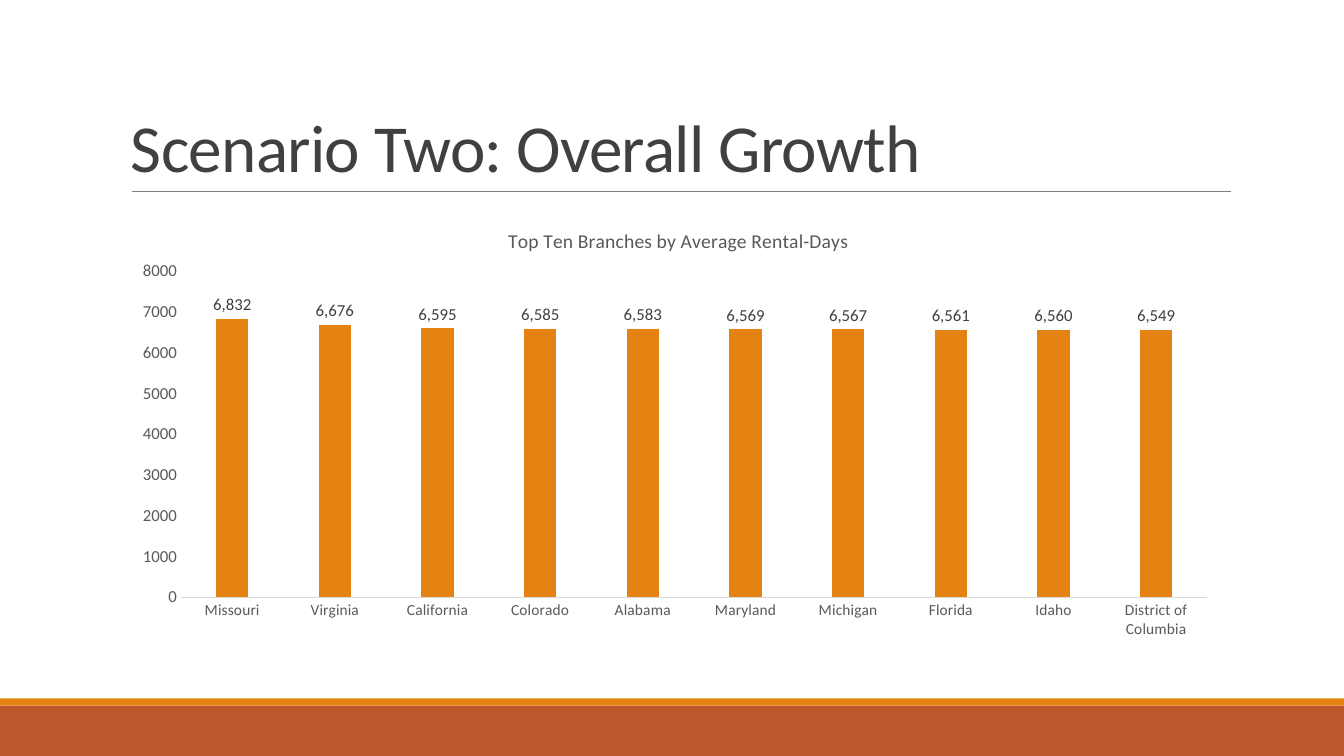
from lxml import etree
from pptx import Presentation
from pptx.chart.data import CategoryChartData
from pptx.dml.color import RGBColor
from pptx.enum.chart import XL_CHART_TYPE, XL_LABEL_POSITION, XL_TICK_MARK
from pptx.enum.shapes import MSO_CONNECTOR, MSO_SHAPE
from pptx.enum.text import MSO_ANCHOR
from pptx.oxml import parse_xml
from pptx.oxml.ns import nsdecls, qn
from pptx.util import Cm, Pt

RECTANGLE = MSO_SHAPE.RECTANGLE
STRAIGHT = MSO_CONNECTOR.STRAIGHT
BOTTOM = MSO_ANCHOR.BOTTOM
COLUMNS = XL_CHART_TYPE.COLUMN_CLUSTERED
OUTSIDE_END = XL_LABEL_POSITION.OUTSIDE_END
NO_TICK = XL_TICK_MARK.NONE

RUST = RGBColor(0xBD, 0x58, 0x2C)
ORANGE = RGBColor(0xE4, 0x83, 0x12)
RULE_GRAY = RGBColor(0x80, 0x80, 0x80)
DARK_GRAY = RGBColor(0x40, 0x40, 0x40)
TEXT_GRAY = RGBColor(0x59, 0x59, 0x59)
AXIS_GRAY = RGBColor(0xD9, 0xD9, 0xD9)
FONT = "Calibri"

PAGE_WIDTH = Cm(33.87)
PAGE_HEIGHT = Cm(19.05)
CONTENT_LEFT = Cm(3.05)
CONTENT_WIDTH = Cm(27.94)

RENTAL_DAYS = {
    "Missouri": 6832, "Virginia": 6676, "California": 6595, "Colorado": 6585,
    "Alabama": 6583, "Maryland": 6569, "Michigan": 6567, "Florida": 6561,
    "Idaho": 6560, "District of Columbia": 6549,
}


def style_font(font, size, color):
    font.name = FONT
    font.size = Pt(size)
    font.color.rgb = color


def add_band(page, top, height, color):
    band = page.shapes.add_shape(RECTANGLE, 0, top, PAGE_WIDTH, height)
    band.shadow.inherit = False
    band.fill.solid()
    band.fill.fore_color.rgb = color
    band.line.fill.background()


def add_rule(page, left, right, top):
    rule = page.shapes.add_connector(STRAIGHT, left, top, right, top)
    rule.line.color.rgb = RULE_GRAY
    rule.line.width = Pt(0.5)
    etree.SubElement(rule._element.spPr, qn("a:effectLst"))


def add_title(page, text):
    box = page.shapes.add_textbox(CONTENT_LEFT, Cm(0.79), CONTENT_WIDTH, Cm(4.04))
    frame = box.text_frame
    frame.word_wrap = True
    frame.vertical_anchor = BOTTOM
    frame.text = text
    para = frame.paragraphs[0]
    para.line_spacing = 0.85
    span = para.runs[0]
    style_font(span.font, 48, DARK_GRAY)
    span.font._element.set("spc", "-50")


def manual_layout(**settings):
    """Build a chart layout from edge settings and fractions of the chart size."""
    children = "".join(f'<c:{name} val="{value}"/>' for name, value in settings.items())
    return parse_xml(
        f'<c:layout {nsdecls("c")}><c:manualLayout>{children}</c:manualLayout></c:layout>')


def place_plot(chart, layout):
    plot_area = chart._chartSpace.chart.plotArea
    for old_layout in plot_area.findall(qn("c:layout")):
        plot_area.remove(old_layout)
    plot_area.insert(0, layout)


def add_chart_title(chart, text):
    chart.has_title = True
    title = chart.chart_title
    title.text_frame.text = text
    font = title.text_frame.paragraphs[0].runs[0].font
    style_font(font, 14, TEXT_GRAY)
    font.bold = False
    title.include_in_layout = False
    element = title._element
    for old_layout in element.findall(qn("c:layout")):
        element.remove(old_layout)
    element.find(qn("c:tx")).addnext(
        manual_layout(xMode="edge", yMode="edge", x=0.346, y=0.045))


def style_axis(axis, size):
    axis.major_tick_mark = NO_TICK
    axis.minor_tick_mark = NO_TICK
    axis.has_major_gridlines = False
    style_font(axis.tick_labels.font, size, TEXT_GRAY)


def add_column_chart(page, title, values):
    data = CategoryChartData()
    data.categories = list(values)
    data.add_series("Series 1", list(values.values()))
    chart = page.shapes.add_chart(
        COLUMNS, CONTENT_LEFT, Cm(5.13), CONTENT_WIDTH, Cm(11.18), data).chart
    chart.has_legend = False
    style_font(chart.font, 10, TEXT_GRAY)
    add_chart_title(chart, title)
    place_plot(chart, manual_layout(
        layoutTarget="inner", xMode="edge", yMode="edge",
        x=0.054, y=0.152, w=0.926, h=0.735))

    style_axis(chart.category_axis, 11)
    chart.category_axis.format.line.color.rgb = AXIS_GRAY
    chart.category_axis.format.line.width = Pt(0.75)
    style_axis(chart.value_axis, 12)
    chart.value_axis.format.line.fill.background()
    chart.value_axis.minimum_scale = 0
    chart.value_axis.maximum_scale = 8000
    chart.value_axis.major_unit = 1000
    chart.value_axis.tick_labels.number_format = "General"
    chart.value_axis.tick_labels.number_format_is_linked = False

    plot = chart.plots[0]
    plot.vary_by_categories = False
    plot.gap_width = 219
    plot.overlap = -27
    series = plot.series[0]
    series.format.fill.solid()
    series.format.fill.fore_color.rgb = ORANGE
    labels = series.data_labels
    labels.show_value = True
    labels.position = OUTSIDE_END
    labels.number_format = "#,###"
    labels.number_format_is_linked = False
    style_font(labels.font, 12, DARK_GRAY)


def main():
    deck = Presentation()
    deck.slide_width = PAGE_WIDTH
    deck.slide_height = PAGE_HEIGHT
    page = deck.slides.add_slide(deck.slide_layouts[6])
    add_band(page, Cm(17.78), Cm(1.27), RUST)
    add_band(page, Cm(17.6), Cm(0.18), ORANGE)
    add_rule(page, Cm(3.33), Cm(31.01), Cm(4.83))
    add_title(page, "Scenario Two: Overall Growth")
    add_column_chart(page, "Top Ten Branches by Average Rental-Days", RENTAL_DAYS)
    deck.save("out.pptx")


if __name__ == "__main__":
    main()
